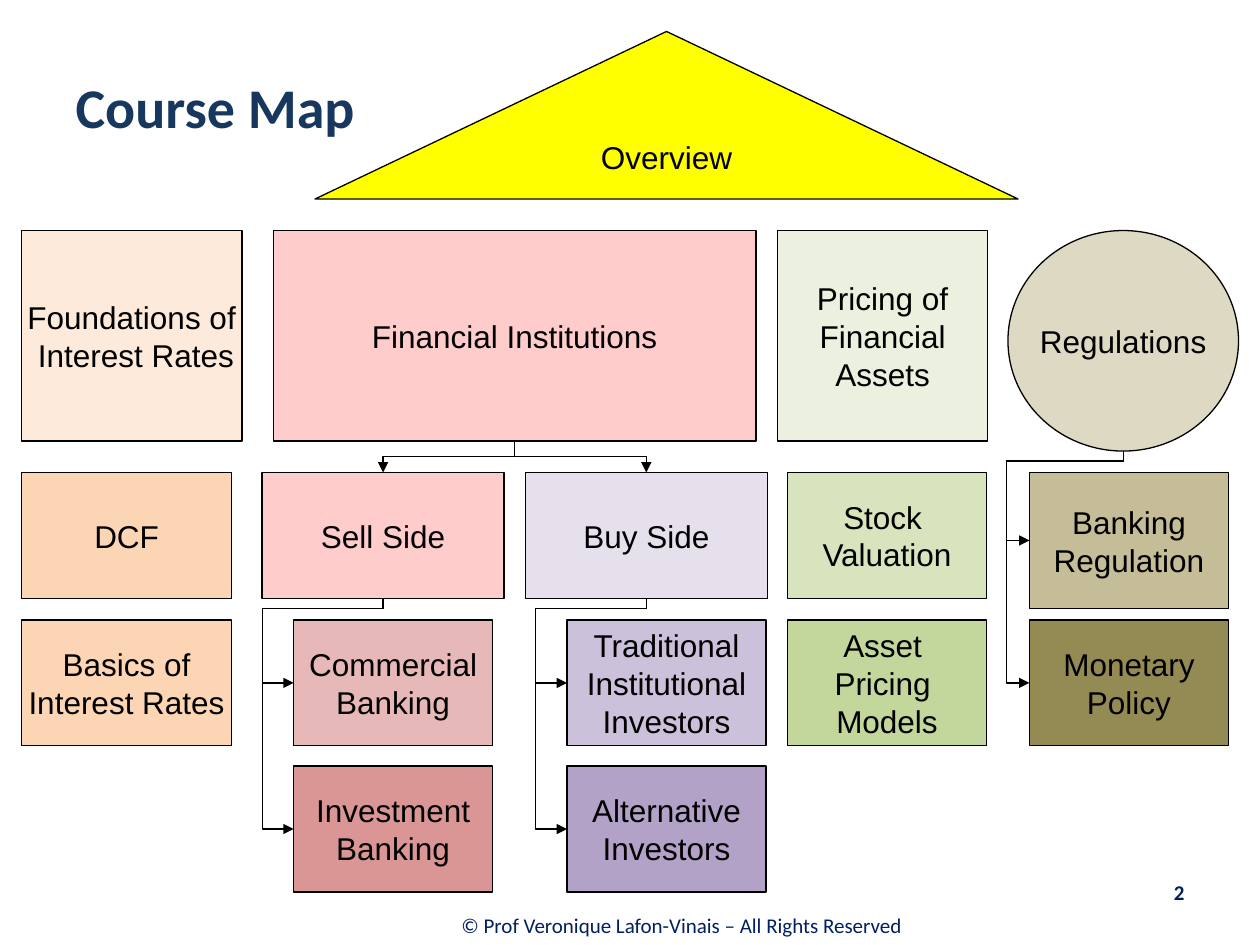
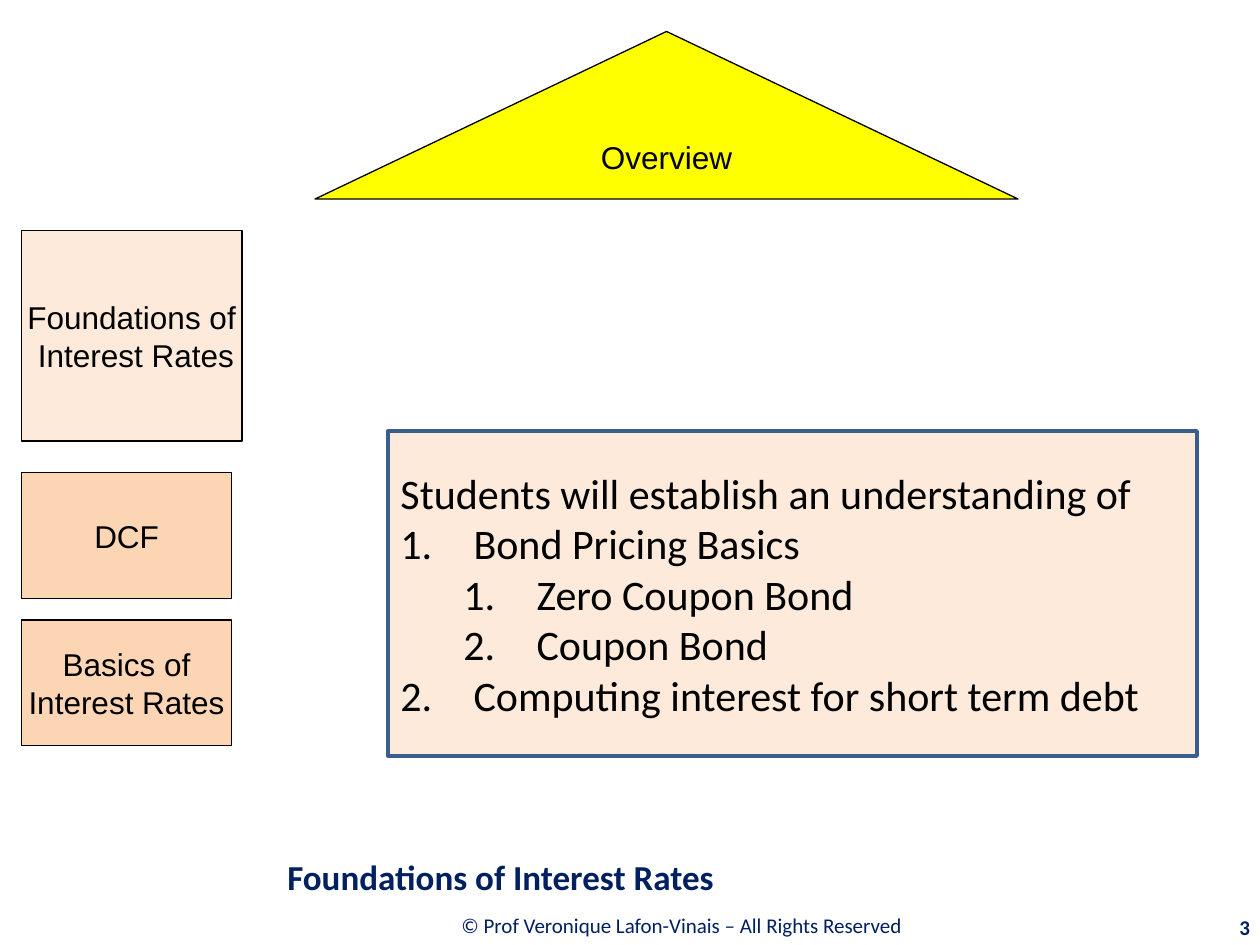
from lxml import etree
from pptx import Presentation
from pptx.dml.color import RGBColor
from pptx.enum.shapes import MSO_CONNECTOR, MSO_SHAPE
from pptx.enum.text import MSO_ANCHOR, PP_ALIGN
from pptx.oxml.ns import qn
from pptx.util import Inches, Pt

RECT, ELLIPSE = MSO_SHAPE.RECTANGLE, MSO_SHAPE.OVAL
ROOF = MSO_SHAPE.FLOWCHART_EXTRACT
ELBOW = MSO_CONNECTOR.ELBOW
LEFT, CENTER, RIGHT = PP_ALIGN.LEFT, PP_ALIGN.CENTER, PP_ALIGN.RIGHT
MIDDLE = MSO_ANCHOR.MIDDLE

# Colours
BLACK = RGBColor(0x00, 0x00, 0x00)
NAVY = RGBColor(0x00, 0x20, 0x60)
TITLE_BLUE = RGBColor(0x17, 0x37, 0x5E)
BORDER_BLUE = RGBColor(0x3A, 0x5F, 0x8C)
YELLOW = RGBColor(0xFF, 0xFF, 0x00)
PALE_ORANGE = RGBColor(0xFD, 0xEA, 0xDA)
ORANGE = RGBColor(0xFC, 0xD5, 0xB5)
PINK = RGBColor(0xFF, 0xCC, 0xCC)
ROSE = RGBColor(0xE6, 0xB9, 0xB8)
RED = RGBColor(0xD9, 0x96, 0x94)
PALE_PURPLE = RGBColor(0xE6, 0xE0, 0xEC)
LILAC = RGBColor(0xCC, 0xC1, 0xDA)
PURPLE = RGBColor(0xB3, 0xA2, 0xC7)
PALE_GREEN = RGBColor(0xEB, 0xF1, 0xDE)
LIGHT_GREEN = RGBColor(0xD7, 0xE4, 0xBD)
GREEN = RGBColor(0xC3, 0xD6, 0x9B)
PALE_TAN = RGBColor(0xDD, 0xD9, 0xC3)
TAN = RGBColor(0xC4, 0xBD, 0x97)
OLIVE = RGBColor(0x94, 0x8A, 0x54)

# Row tops of the map, in inches
HEAD, ROW1, ROW2, ROW3 = 1.83, 3.75, 4.92, 6.08

# Content: text, (left, top, width, height), fill, shape
SHARED_BOXES = [
    ("Overview", (2.5, 0.25, 5.58, 1.33), YELLOW, ROOF),
    ("Foundations of\n Interest Rates", (0.17, HEAD, 1.75, 1.67), PALE_ORANGE, RECT),
    ("DCF", (0.17, ROW1, 1.67, 1), ORANGE, RECT),
    ("Basics of\nInterest Rates", (0.17, ROW2, 1.67, 1), ORANGE, RECT),
]
MAP_BOXES = [
    ("Financial Institutions", (2.17, HEAD, 3.83, 1.67), PINK, RECT),
    ("Sell Side", (2.08, ROW1, 1.92, 1), PINK, RECT),
    ("Commercial Banking", (2.33, ROW2, 1.58, 1), ROSE, RECT),
    ("Investment Banking", (2.33, ROW3, 1.58, 1), RED, RECT),
    ("Buy Side", (4.17, ROW1, 1.92, 1), PALE_PURPLE, RECT),
    ("Traditional Institutional Investors", (4.5, ROW2, 1.58, 1), LILAC, RECT),
    ("Alternative Investors", (4.5, ROW3, 1.58, 1), PURPLE, RECT),
    ("Pricing of Financial Assets", (6.17, HEAD, 1.67, 1.67), PALE_GREEN, RECT),
    ("Stock \nValuation", (6.25, ROW1, 1.58, 1), LIGHT_GREEN, RECT),
    ("Asset \nPricing \nModels", (6.25, ROW2, 1.58, 1), GREEN, RECT),
    ("Regulations", (8, HEAD, 1.83, 1.75), PALE_TAN, ELLIPSE),
    ("Banking Regulation", (8.17, ROW1, 1.58, 1.08), TAN, RECT),
    ("Monetary Policy", (8.17, ROW2, 1.58, 1), OLIVE, RECT),
]
# Parent, children, x of the vertical run (None: arrows enter from the top)
BRANCHES = [
    ("Financial Institutions", ["Sell Side", "Buy Side"], None),
    ("Sell Side", ["Commercial Banking", "Investment Banking"], 2.08),
    ("Buy Side", ["Traditional Institutional Investors", "Alternative Investors"], 4.25),
    ("Regulations", ["Banking Regulation", "Monetary Policy"], 7.99),
]
DROP = 0.08  # from a parent to the horizontal run

# Text, level, numbered
GOALS = [
    ("Students will establish an understanding of", 0, False),
    ("Bond Pricing Basics", 0, True),
    ("Zero Coupon Bond", 1, True),
    ("Coupon Bond", 1, True),
    ("Computing interest for short term debt", 0, True),
]
FOOTER = "© Prof Veronique Lafon-Vinais – All Rights Reserved "


def write(tf, text, size=18, font="Arial", color=BLACK, bold=False, align=CENTER, wrap=True):
    tf.word_wrap = wrap
    tf.vertical_anchor = MIDDLE
    for i, line in enumerate(text.split("\n")):
        p = tf.paragraphs[0] if i == 0 else tf.add_paragraph()
        p.alignment = align
        r = p.add_run()
        r.text = line
        r.font.size, r.font.name, r.font.bold = Pt(size), font, bold
        r.font.color.rgb = color


def place(sp, box):
    sp.left, sp.top, sp.width, sp.height = map(Inches, box)


def add_label(s, text, box, **fmt):
    tb = s.shapes.add_textbox(*map(Inches, box))
    write(tb.text_frame, text, **{"size": 12, "font": "Calibri", "color": NAVY, **fmt})


def add_box(s, text, box, fill, kind=RECT, line=BLACK, weight=0.75, **fmt):
    sp = s.shapes.add_shape(kind, *map(Inches, box))
    sp.shadow.inherit = False
    sp.fill.solid()
    sp.fill.fore_color.rgb = fill
    sp.line.color.rgb = line
    sp.line.width = Pt(weight)
    # One-word and hand-broken labels may run past the insets
    write(sp.text_frame, text, wrap=" " in text and "\n" not in text or "wide" in fmt)if not fmt else \
        write(sp.text_frame, text, **fmt)
    return sp


def add_elbow(s, parent, child, run_x):
    """Arrow from the bottom of parent to the top or left side of child."""
    x1, y1 = parent.left + parent.width // 2, parent.top + parent.height
    if run_x is None:
        side, x2, y2 = 0, child.left + child.width // 2, child.top
        preset, adjust = "bentConnector3", [0.5]
    else:
        side, x2, y2 = 1, child.left, child.top + child.height // 2
        preset = "bentConnector4"
        adjust = [Inches(DROP) / (y2 - y1), (x1 - Inches(run_x)) / (x1 - x2)]

    c = s.shapes.add_connector(ELBOW, x1, y1, x2, y2)
    c.begin_connect(parent, 2)
    c.end_connect(child, side)
    if parent.auto_shape_type == ELLIPSE:  # an ellipse counts eight sites
        next(c._element.iter(qn("a:stCxn"))).set("idx", "4")

    # The frame is turned so that the first leg points down
    run, rise = y2 - y1, abs(x2 - x1)
    c.left, c.top = (x1 + x2 - run) // 2, (y1 + y2 - rise) // 2
    c.width, c.height = run, rise
    pr = c._element.spPr
    xfrm = pr.find(qn("a:xfrm"))
    for flip in ("flipH", "flipV"):
        xfrm.attrib.pop(flip, None)
    xfrm.set("rot", str((90 if x2 < x1 else 270) * 60000))
    if x2 > x1:
        xfrm.set("flipH", "1")

    geom = pr.find(qn("a:prstGeom"))
    geom.set("prst", preset)
    for old in list(geom):
        geom.remove(old)
    guides = etree.SubElement(geom, qn("a:avLst"))
    for i, value in enumerate(adjust, 1):
        etree.SubElement(guides, qn("a:gd"), name=f"adj{i}", fmla=f"val {round(value * 100000)}")

    c.line.color.rgb = BLACK
    c.line.width = Pt(0.75)
    etree.SubElement(pr.find(qn("a:ln")), qn("a:tailEnd"), type="triangle")
    etree.SubElement(pr, qn("a:effectLst"))


def number_goals(tf):
    for p, (_, level, numbered) in zip(tf.paragraphs, GOALS):
        p.level = level
        pr = p._p.get_or_add_pPr()
        pr.set("marL", str(Inches(0.58 + 0.5 * level)))
        pr.set("indent", str(-Inches(0.58)))
        if numbered:
            etree.SubElement(pr, qn("a:buAutoNum"), type="arabicPeriod")


def new_slide(prs, title, title_box, number, number_box, **title_fmt):
    s = prs.slides.add_slide(prs.slide_layouts[5])
    place(s.shapes.title, title_box)
    write(s.shapes.title.text_frame, title, font="Calibri", bold=True, align=LEFT, **title_fmt)
    add_label(s, FOOTER, (2.19, 7.15, 6.48, 0.39))
    add_label(s, number, number_box, bold=True, align=RIGHT)
    boxes = {text: add_box(s, text, *rest) for text, *rest in SHARED_BOXES}
    return s, boxes


def main():
    prs = Presentation()
    prs.slide_width, prs.slide_height = Inches(10), Inches(7.5)

    # Course map
    s, boxes = new_slide(prs, "Course Map", (0.5, 0.13, 2.58, 1.42),
                         "2", (7.17, 6.83, 2.33, 0.5), size=32, color=TITLE_BLUE)
    for text, *rest in MAP_BOXES:
        boxes[text] = add_box(s, text, *rest)
    for parent, children, run_x in BRANCHES:
        for child in children:
            add_elbow(s, boxes[parent], boxes[child], run_x)

    # Foundations of interest rates
    s, _ = new_slide(prs, "Foundations of Interest Rates", (2.18, 6.72, 7.82, 0.47),
                     "3", (9.01, 7.2, 1.01, 0.32), size=20, color=NAVY)
    goals = add_box(s, "\n".join(text for text, *_ in GOALS), (3.08, 3.42, 6.42, 2.58),
                    PALE_ORANGE, line=BORDER_BLUE, weight=2,
                    size=24, font="Calibri", align=LEFT)
    number_goals(goals.text_frame)

    prs.save("out.pptx")


if __name__ == "__main__":
    main()
